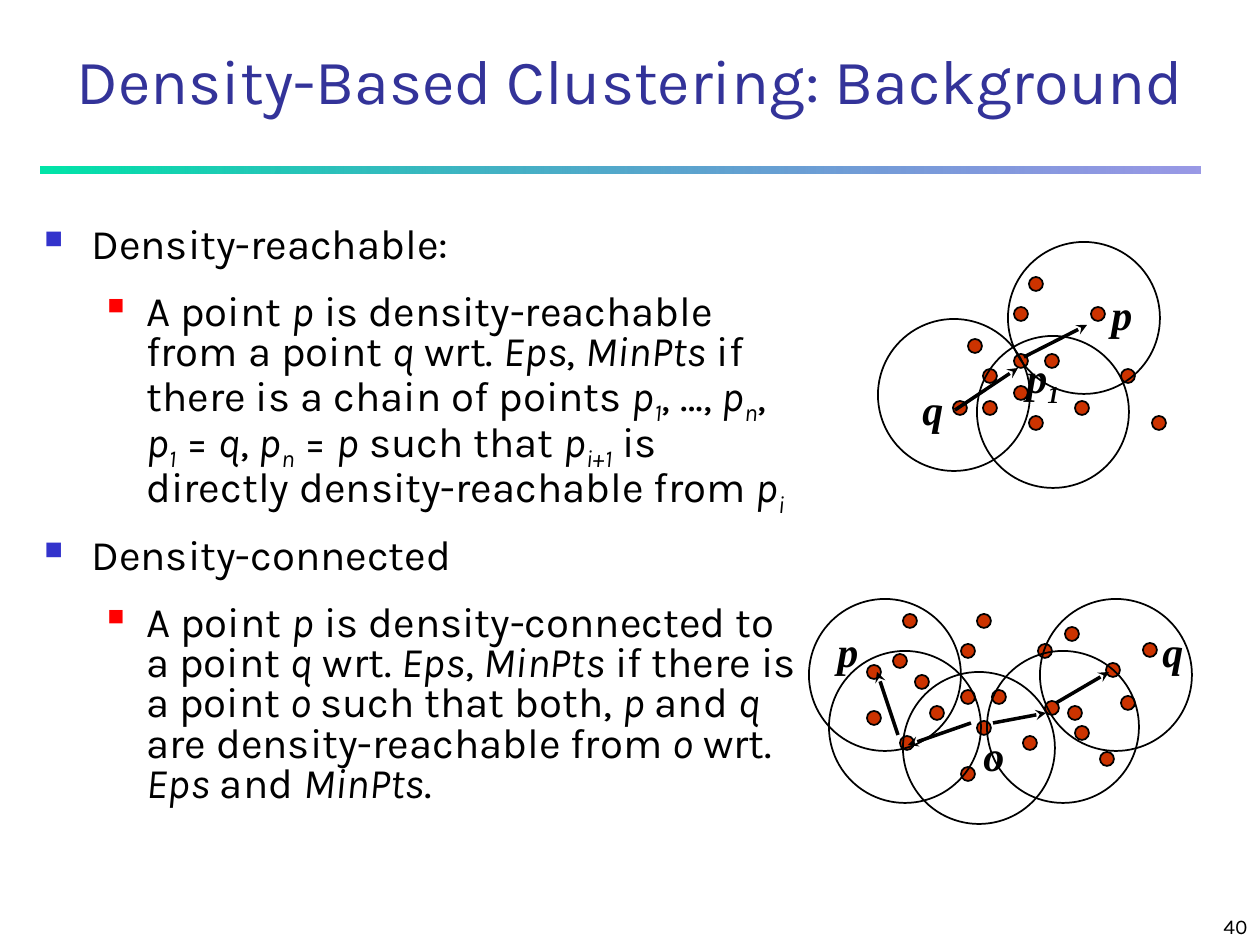
from lxml.etree import SubElement
from pptx import Presentation
from pptx.dml.color import RGBColor
from pptx.enum.shapes import MSO_CONNECTOR, MSO_SHAPE
from pptx.enum.text import MSO_ANCHOR, MSO_AUTO_SIZE, PP_ALIGN
from pptx.oxml.ns import qn
from pptx.util import Emu, Pt

PX_PER_INCH = 126
COLORS = {
    "title": "333399", "ink": "000000", "dot": "CC3300",
    "bullet": "3333CC", "sub_bullet": "FF0000",
    "rule_violet": "3333CC", "rule_green": "00E4A8",
}
DOT, NEIGHBORHOOD = 14, 152

# Body text: *italic*, ~subscript~
BODY = [
    (0, "Density-reachable:"),
    (1, "A point *p* is density-reachable from a point *q* wrt. *Eps*, *MinPts* if "
        "there is a chain of points *p~1~*, …, *p~n~*, *p~1~* = *q*, *p~n~* = *p* "
        "such that *p~i+1~* is directly density-reachable from *p~i~*"),
    (0, "Density-connected"),
    (1, "A point *p* is density-connected to a point *q* wrt. *Eps*, *MinPts* if "
        "there is a point *o *such that both, *p* and *q* are density-reachable "
        "from *o* wrt. *Eps* and *MinPts*."),
]
# Per level: left margin, hanging indent, bullet colour, bullet size in percent
LEVELS = [(47, -47, "bullet", 60), (102, -39, "sub_bullet", 55)]

# Places are left, top; arrows run from the first point to the second
REACHABLE = {
    "dots": [(968, 339), (1014, 354), (1014, 307), (953, 401), (983, 369),
             (983, 401), (1029, 416), (1029, 277), (1121, 369), (1091, 307),
             (1014, 386), (1045, 354), (1075, 401), (1152, 416)],
    "circles": [(977, 336), (878, 319), (1008, 242)],
    "arrows": [(1024, 357, 1087, 325), (955, 410, 1018, 368)],
    "labels": [("*p*", 1099, 282, 53), ("*q*", 910, 377, 53),
               ("*p~1~*", 1014, 345, 84)],
}
CONNECTED = {
    "dots": [(915, 675), (961, 690), (961, 644), (900, 736), (930, 706),
             (961, 767), (977, 721), (977, 614), (1068, 706), (1038, 644),
             (867, 711), (992, 690), (1023, 736), (1100, 752), (1121, 696),
             (1045, 701), (1075, 726), (1143, 643), (1065, 627), (1106, 663),
             (893, 654), (867, 665), (903, 614)],
    "circles": [(829, 651), (903, 672), (987, 651), (1040, 599), (809, 599)],
    "arrows": [(971, 723, 908, 745), (993, 723, 1046, 713),
               (898, 735, 877, 672), (1056, 703, 1109, 672)],
    "labels": [("*p*", 825, 619, 53), ("*q*", 1150, 619, 53),
               ("*o*", 971, 723, 53)],
}


def px(length):
    return Emu(round(length * 914400 / PX_PER_INCH))


def rgb(name):
    return RGBColor.from_string(COLORS[name])


def apply(target, values):
    for name, value in values.items():
        setattr(target, name, value)


class SlideBuilder:
    body_font = "Karla"
    label_font = "Times New Roman"

    def __init__(self, slide):
        self.slide = slide
        self.shapes = slide.shapes

    def rule(self, *box):
        bar = self.shapes.add_shape(MSO_SHAPE.RECTANGLE, *map(px, box))
        bar.shadow.inherit = False
        bar.line.fill.background()
        bar.fill.gradient()
        bar.fill.gradient_angle = 180
        for stop, color in zip(bar.fill.gradient_stops, ("rule_violet", "rule_green")):
            stop.color.rgb = rgb(color)
        violet = next(bar.element.spPr.iter(qn("a:srgbClr")))
        SubElement(violet, qn("a:alpha"), val="50000")

    def circle(self, left, top, size, fill=None):
        oval = self.shapes.add_shape(MSO_SHAPE.OVAL, *map(px, (left, top, size, size)))
        oval.shadow.inherit = False
        if fill:
            oval.fill.solid()
            oval.fill.fore_color.rgb = rgb(fill)
        else:
            oval.fill.background()
        oval.line.color.rgb = rgb("ink")
        oval.line.width = Pt(1)

    def arrow(self, *ends):
        step = self.shapes.add_connector(MSO_CONNECTOR.STRAIGHT, *map(px, ends))
        step.line.color.rgb = rgb("ink")
        step.line.width = Pt(2)
        props = step.element.spPr
        SubElement(props.find(qn("a:ln")), qn("a:tailEnd"), type="stealth")
        SubElement(props, qn("a:effectLst"))

    def frame(self, box, **values):
        text_frame = self.shapes.add_textbox(*map(px, box)).text_frame
        apply(text_frame, {"word_wrap": True, **values})
        return text_frame

    def add_runs(self, paragraph, marked_text, color="ink", **font):
        for i, phrase in enumerate(marked_text.split("*")):
            for j, piece in enumerate(phrase.split("~")):
                if not piece:
                    continue
                run = paragraph.add_run()
                run.text = piece
                apply(run.font, {"name": self.body_font, "size": Pt(24),
                                 "italic": i % 2 == 1, **font})
                run.font.color.rgb = rgb(color)
                if j % 2:
                    run._r.get_or_add_rPr().set("baseline", "-25000")

    def line(self, text, box, anchor, align, **style):
        paragraph = self.frame(box, vertical_anchor=anchor).paragraphs[0]
        paragraph.alignment = align
        self.add_runs(paragraph, text, **style)

    def label(self, text, left, top, width):
        text_frame = self.frame((left, top, width, 63),
                                auto_size=MSO_AUTO_SIZE.SHAPE_TO_FIT_TEXT)
        paragraph = text_frame.paragraphs[0]
        paragraph.space_before = Pt(15)
        self.add_runs(paragraph, text, name=self.label_font, bold=True)

    def bullets(self, items, box):
        text_frame = self.frame(box)
        for i, (level, text) in enumerate(items):
            paragraph = text_frame.add_paragraph() if i else text_frame.paragraphs[0]
            apply(paragraph, {"level": level, "line_spacing": 0.8,
                              "space_before": Pt(15)})
            margin, indent, color, percent = LEVELS[level]
            props = paragraph._p.get_or_add_pPr()
            props.set("marL", str(px(margin)))
            props.set("indent", str(px(indent)))
            SubElement(SubElement(props, qn("a:buClr")), qn("a:srgbClr"), val=COLORS[color])
            SubElement(props, qn("a:buSzPct"), val=str(percent * 1000))
            SubElement(props, qn("a:buChar"), char="■")
            self.add_runs(paragraph, text)

    def diagram(self, parts):
        self.shapes = self.slide.shapes.add_group_shape().shapes
        for place in parts["dots"]:
            self.circle(*place, DOT, "dot")
        for place in parts["circles"]:
            self.circle(*place, NEIGHBORHOOD)
        for ends in parts["arrows"]:
            self.arrow(*ends)
        for label in parts["labels"]:
            self.label(*label)
        self.shapes = self.slide.shapes


def main():
    deck = Presentation()
    deck.slide_width, deck.slide_height = px(1260), px(945)
    builder = SlideBuilder(deck.slides.add_slide(deck.slide_layouts[6]))

    # Heading
    builder.rule(41, 167, 1160, 7)
    builder.line("Density-Based Clustering: Background", (0, 0, 1260, 158),
                 MSO_ANCHOR.MIDDLE, PP_ALIGN.CENTER, color="title", size=Pt(36))

    # Definitions
    builder.bullets(BODY, (32, 221, 777, 661))

    # Diagrams
    for parts in (REACHABLE, CONNECTED):
        builder.diagram(parts)

    # Page number
    builder.line("40", (998, 892, 262, 53), MSO_ANCHOR.BOTTOM, PP_ALIGN.RIGHT, size=Pt(12))

    deck.save("out.pptx")


if __name__ == "__main__":
    main()
